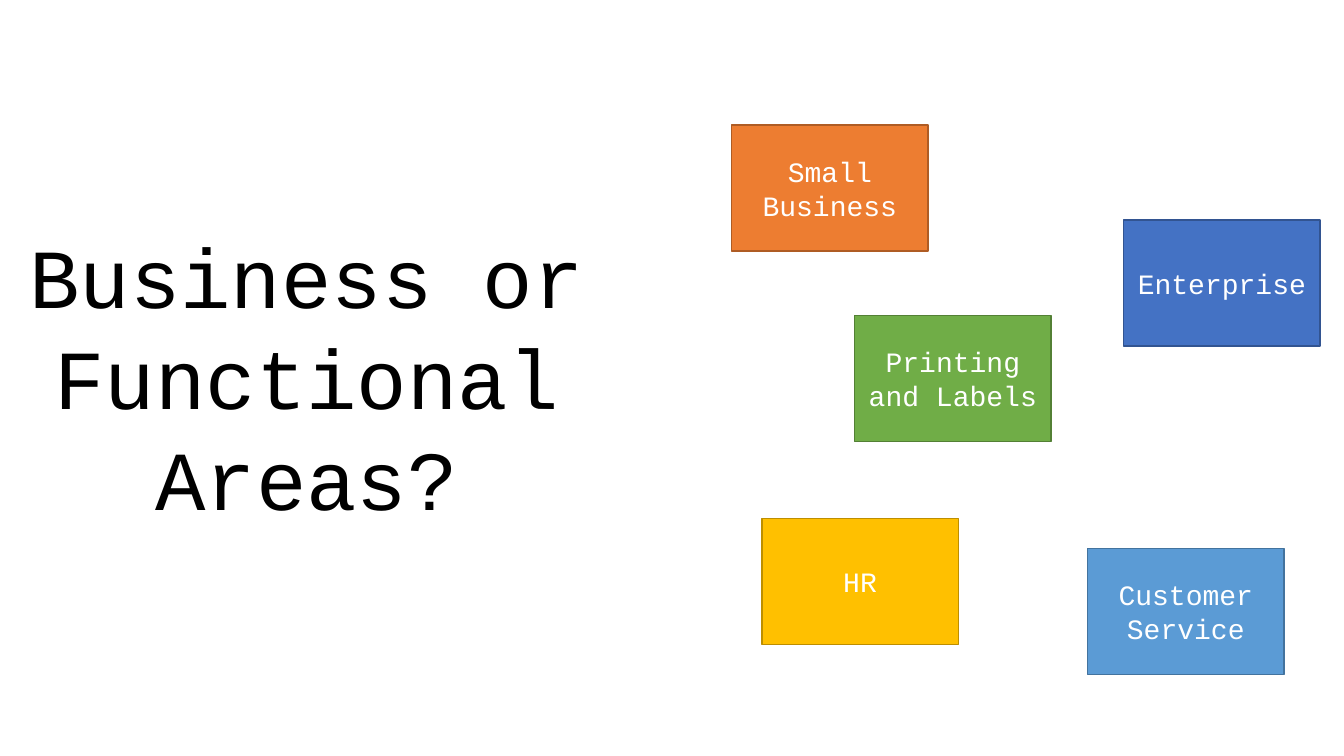
"""Build a slide asking about business or functional areas, with five coloured area boxes."""
from pptx import Presentation
from pptx.dml.color import RGBColor
from pptx.enum.shapes import MSO_SHAPE
from pptx.enum.text import MSO_ANCHOR, MSO_AUTO_SIZE, PP_ALIGN
from pptx.util import Cm, Pt

TITLE = "Business or Functional Areas?"
AREAS = [
    ("Small Business", "orange", 18.44, 3.15),
    ("Enterprise", "blue", 28.32, 5.54),
    ("Printing and Labels", "green", 21.54, 7.95),
    ("Customer Service", "sky", 27.41, 13.82),
    ("HR", "gold", 19.2, 13.06),
]
COLOURS = {
    "black": "000000",
    "white": "FFFFFF",
    "orange": "ED7D31",
    "orange edge": "AF5C24",
    "blue": "4472C4",
    "blue edge": "325491",
    "green": "70AD47",
    "green edge": "538035",
    "sky": "5B9BD5",
    "sky edge": "43739E",
    "gold": "FFC000",
    "gold edge": "BD8E00",
}
FONT = "Courier New"
AREA_WIDTH, AREA_HEIGHT = Cm(4.95), Cm(3.18)


def colour(name):
    return RGBColor.from_string(COLOURS[name])


def write(shape, text, size, ink, anchor):
    frame = shape.text_frame
    frame.text = text
    frame.word_wrap = True
    frame.auto_size = MSO_AUTO_SIZE.NONE
    frame.vertical_anchor = anchor
    paragraph = frame.paragraphs[0]
    paragraph.alignment = PP_ALIGN.CENTER
    paragraph.font.name = FONT
    paragraph.font.size = Pt(size)
    paragraph.font.color.rgb = colour(ink)


def add_area(page, label, fill, left, top):
    box = page.shapes.add_shape(
        MSO_SHAPE.RECTANGLE, Cm(left), Cm(top), AREA_WIDTH, AREA_HEIGHT
    )
    box.shadow.inherit = False
    box.fill.solid()
    box.fill.fore_color.rgb = colour(fill)
    box.line.color.rgb = colour(f"{fill} edge")
    box.line.width = Pt(1)
    write(box, label, 20, "white", MSO_ANCHOR.MIDDLE)


def main():
    deck = Presentation()
    deck.slide_width, deck.slide_height = Cm(33.87), Cm(19.05)
    page = deck.slides.add_slide(deck.slide_layouts.get_by_name("Title Only"))
    title = page.shapes.title
    title.left, title.top = Cm(-0.25), Cm(5.54)
    title.width, title.height = Cm(15.95), Cm(7.95)
    write(title, TITLE, 60, "black", MSO_ANCHOR.TOP)
    for area in AREAS:
        add_area(page, *area)
    deck.save("out.pptx")


if __name__ == "__main__":
    main()
